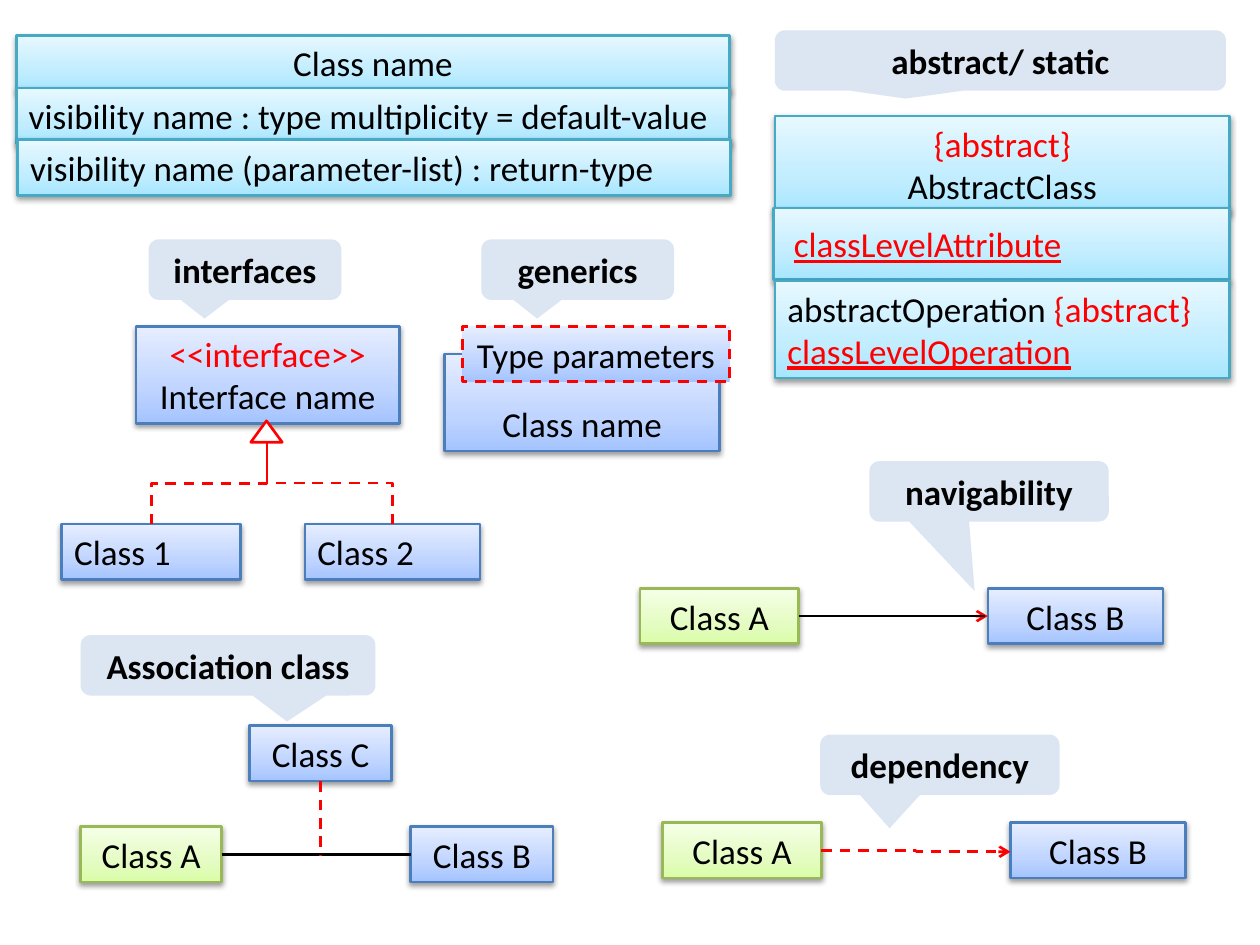
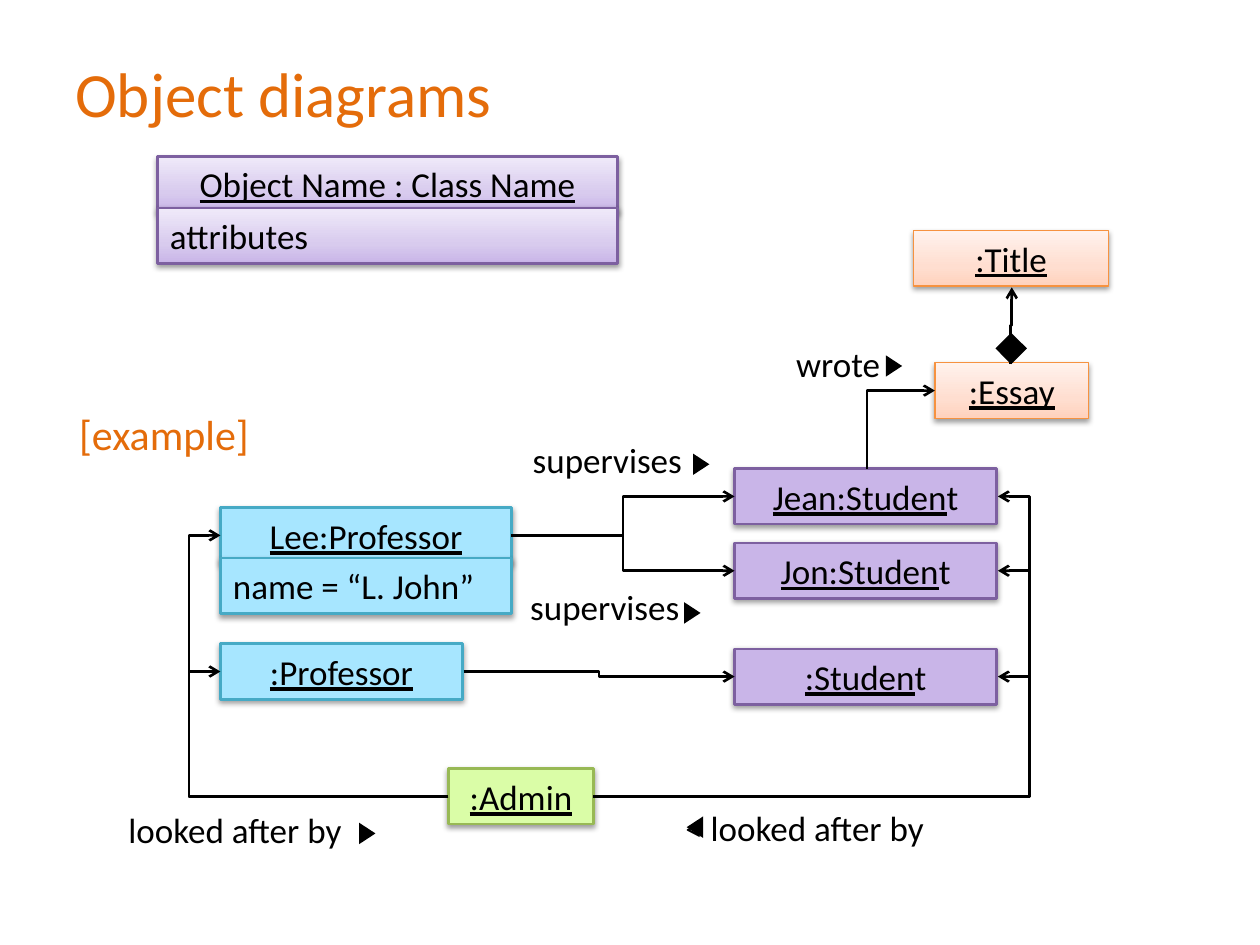
from copy import deepcopy
from dataclasses import dataclass, field

from lxml.etree import SubElement
from pptx import Presentation
from pptx.dml.color import RGBColor
from pptx.enum.dml import MSO_LINE
from pptx.enum.shapes import MSO_CONNECTOR, MSO_SHAPE
from pptx.enum.text import MSO_ANCHOR, PP_ALIGN
from pptx.oxml.ns import qn
from pptx.util import Emu, Inches, Pt

COLS, ROWS = 100, 75
TOP, LEFT, BOTTOM, RIGHT = range(4)


@dataclass(frozen=True)
class Theme:
    font: str = "Calibri"
    body: int = 20
    label: int = 24
    title: int = 36
    stroke: float = 1.5
    ink: str = "000000"
    paper: str = "FFFFFF"
    red: str = "FF0000"
    accent: str = "E46C0A"
    bubble: str = "DCE6F2"
    # Each box style: edge colour, edge width, fill from bottom to top.
    boxes: dict = field(default_factory=lambda: {
        "aqua": ("46AAC5", 1.5, ("A7E6FF", "C1EDFF", "E7F8FF")),
        "blue": ("4B7EBC", 1.5, ("A4C4FF", "BFD4FF", "E6EEFF")),
        "green": ("98B955", 1.5, ("DAFDA7", "E4FCC2", "F5FFE7")),
        "violet": ("7D60A0", 1.5, ("C9B5E8", "D8CBEE", "F0EAF9")),
        "peach": ("F69240", 0.75, ("FFD2BD", "FFDED0", "FFF2ED")),
    })


class Board:
    """Draws on the current slide; lengths are grid columns and rows."""

    def __init__(self, deck, theme):
        self.deck, self.theme = deck, theme
        self.slide = None

    def begin(self):
        self.slide = self.deck.slides.add_slide(self.deck.slide_layouts[6])

    def col(self, n):
        return Emu(round(self.deck.slide_width * n / COLS))

    def row(self, n):
        return Emu(round(self.deck.slide_height * n / ROWS))

    def area(self, x, y, w, h):
        return self.col(x), self.row(y), self.col(w), self.row(h)

    def style(self, run, color=None, size=None, bold=False, under=False):
        font = run.font
        font.name = self.theme.font
        font.size = Pt(size or self.theme.body)
        font.color.rgb = RGBColor.from_string(color or self.theme.ink)
        font.bold = bold
        font.underline = under

    def letter(self, shape, text, align=PP_ALIGN.CENTER,
               anchor=MSO_ANCHOR.MIDDLE, **look):
        frame = shape.text_frame
        frame.text = text
        frame.word_wrap = True
        frame.vertical_anchor = anchor
        for par in frame.paragraphs:
            par.alignment = align
            for run in par.runs:
                self.style(run, **look)

    def extend(self, shape, text, **look):
        """Add a differently styled run to the first paragraph."""
        run = shape.text_frame.paragraphs[0].add_run()
        run.text = text
        self.style(run, **look)

    def form(self, kind, x, y, w, h, fill, edge=None, width=None):
        shape = self.slide.shapes.add_shape(kind, *self.area(x, y, w, h))
        shape.shadow.inherit = False
        shape.fill.solid()
        shape.fill.fore_color.rgb = RGBColor.from_string(fill)
        if edge:
            shape.line.color.rgb = RGBColor.from_string(edge)
            shape.line.width = Pt(width or self.theme.stroke)
        else:
            shape.line.fill.background()
        return shape

    def blend(self, shape, colors):
        """Fill with three stops, the first colour at the bottom."""
        shape.fill.gradient()
        shape.fill.gradient_angle = 90
        stops = shape._element.spPr.find(".//" + qn("a:gsLst"))
        stops.insert(1, deepcopy(stops[0]))
        for stop, place, color in zip(shape.fill.gradient_stops, (0, 0.35, 1), colors):
            stop.position = place
            stop.color.rgb = RGBColor.from_string(color)

    def shade(self, shape):
        effects = shape._element.spPr.find(qn("a:effectLst"))
        outer = SubElement(effects, qn("a:outerShdw"), blurRad="40000",
                           dist="20000", dir="5400000", rotWithShape="0")
        black = SubElement(outer, qn("a:srgbClr"), val=self.theme.ink)
        SubElement(black, qn("a:alpha"), val="38000")

    def box(self, style, text, x, y, w, h=4.4, flat=False, dashed=False, **look):
        edge, width, colors = self.theme.boxes[style]
        shape = self.form(MSO_SHAPE.RECTANGLE, x, y, w, h, colors[0],
                          self.theme.red if dashed else edge, width)
        if not flat:
            self.blend(shape, colors)
        if dashed:
            shape.line.dash_style = MSO_LINE.DASH
        else:
            self.shade(shape)
        self.letter(shape, text, **look)
        return shape

    def bubble(self, text, x, y, w, tip=(-0.21, 0.81)):
        shape = self.form(MSO_SHAPE.ROUNDED_RECTANGULAR_CALLOUT, x, y, w, 4.8,
                          self.theme.bubble)
        shape.adjustments[0], shape.adjustments[1] = tip
        self.letter(shape, text, bold=True)

    def label(self, text, x, y, w, h=4.4, anchor=MSO_ANCHOR.TOP, **look):
        shape = self.slide.shapes.add_textbox(*self.area(x, y, w, h))
        self.letter(shape, text, align=PP_ALIGN.LEFT, anchor=anchor, **look)

    def heading(self, text, x, y, size):
        self.label(text, x, y, 90, 8.7, MSO_ANCHOR.MIDDLE,
                   size=size, color=self.theme.accent)

    def marker(self, x, y, turn=90):
        shape = self.form(MSO_SHAPE.ISOSCELES_TRIANGLE, x, y, 1.7, 1.3, self.theme.ink)
        shape.rotation = turn

    def wire(self, kind, start, end, color=None, dashed=False, arrow=False):
        ends = [f(n) for p in (start, end) for f, n in zip((self.col, self.row), p)]
        link = self.slide.shapes.add_connector(kind, *ends)
        link.line.color.rgb = RGBColor.from_string(color or self.theme.ink)
        link.line.width = Pt(self.theme.stroke)
        if dashed:
            link.line.dash_style = MSO_LINE.DASH
        props = link._element.spPr
        if arrow:
            SubElement(props.find(qn("a:ln")), qn("a:tailEnd"), type="arrow")
        SubElement(props, qn("a:effectLst"))
        return link

    def join(self, first, side, last=None, far=LEFT, end=(0, 0), **look):
        """Straight line from a box side to another box side or a point."""
        link = self.wire(MSO_CONNECTOR.STRAIGHT, (0, 0), end, **look)
        link.begin_connect(first, side)
        if last:
            link.end_connect(last, far)

    def elbow(self, start, end, bend=None, **look):
        """Leave sideways and turn at column bend, or halfway."""
        link = self.wire(MSO_CONNECTOR.ELBOW, start, end, **look)
        if bend is not None:
            share = (bend - start[0]) / (end[0] - start[0])
            guides = link._element.spPr.find(".//" + qn("a:avLst"))
            SubElement(guides, qn("a:gd"), name="adj1", fmla=f"val {round(share * 100000)}")

    def climb(self, start, end, corner=False, **look):
        """Leave upwards: a sideways elbow given a three-quarter turn."""
        (x1, y1), (x2, y2) = start, end
        midx, midy = (x1 + x2) / 2, (y1 + y2) / 2
        rise, run = (y1 - y2) / 2, (x2 - x1) / 2
        link = self.wire(MSO_CONNECTOR.ELBOW, (midx - rise, midy - run),
                         (midx + rise, midy + run), **look)
        props = link._element.spPr
        props.find(qn("a:xfrm")).set("rot", "16200000")
        if corner:
            props.find(qn("a:prstGeom")).set("prst", "bentConnector2")


def classes(board):
    board.begin()
    red = board.theme.red
    left = PP_ALIGN.LEFT

    board.box("aqua", "Class name", 1.3, 2.8, 56.6)
    board.box("aqua", "visibility name : type multiplicity = default-value",
              1.3, 7, 56.6, align=left)
    board.box("aqua", "visibility name (parameter-list) : return-type",
              1.4, 11.1, 56.6, align=left)

    board.bubble("abstract/ static", 61.5, 2.4, 35.8, (-0.21, 0.63))
    head = board.box("aqua", "{abstract}\vAbstractClass", 61.5, 9.2, 36.1, 7.7)
    board.style(head.text_frame.paragraphs[0].runs[0], color=red)
    level = board.box("aqua", "classLevelAttribute", 61.4, 16.5, 36.2, 5.7,
                      align=left, color=red, under=True)
    level.text_frame.margin_left = Inches(0.16)
    acts = board.box("aqua", "abstractOperation \nclassLevelOperation",
                     61.5, 22.3, 36.1, 7.7, align=left)
    board.extend(acts, "{abstract}", color=red)
    board.style(acts.text_frame.paragraphs[1].runs[0], color=red, under=True)

    board.bubble("interfaces", 11.8, 19, 15.3)
    face = board.box("blue", "<<interface>>\vInterface name", 10.8, 25.9, 20.9, 7.7)
    board.style(face.text_frame.paragraphs[0].runs[0], color=red)
    board.form(MSO_SHAPE.ISOSCELES_TRIANGLE, 19.9, 33.4, 2.5, 1.7, board.theme.paper, red)
    for name, x, w in (("Class 1", 4.9, 14.2), ("Class 2", 24.2, 13.9)):
        board.box("blue", name, x, 41.6, w, align=left)
        board.climb((x + w / 2, 41.6), (21.2, 35.1), color=red, dashed=True)

    board.bubble("generics", 38.2, 19, 15.3)
    board.box("blue", "Class name", 35.3, 28.1, 21.8, 7.7, anchor=MSO_ANCHOR.BOTTOM)
    board.box("blue", "Type parameters", 36.7, 25.9, 21.2, dashed=True)

    board.bubble("navigability", 69, 36.6, 19, (-0.06, 1.65))
    one = board.box("green", "Class A", 50.8, 46.7, 12.6)
    two = board.box("blue", "Class B", 78.4, 46.7, 13.9)
    board.join(one, RIGHT, two, color=red, arrow=True)
    board.join(one, RIGHT, end=(78.2, 48.9))

    board.bubble("dependency", 65.1, 58.3, 19, (-0.21, 1.05))
    board.box("green", "Class A", 52.6, 65.3, 12.6)
    board.box("blue", "Class B", 80.2, 65.3, 13.9)
    board.elbow((65.2, 67.5), (80.2, 67.6), color=red, dashed=True, arrow=True)

    board.bubble("Association class", 6.4, 50.4, 23.4, (0.2, 0.93))
    one = board.box("green", "Class A", 6.4, 65.6, 11.2)
    two = board.box("blue", "Class B", 32.6, 65.6, 11.3)
    board.join(one, RIGHT, two)
    link = board.box("blue", "Class C", 19.8, 57.6, 11.3)
    board.join(link, BOTTOM, end=(25.45, 67.9), color=red, dashed=True)


def objects(board):
    board.begin()
    left = PP_ALIGN.LEFT
    board.heading("Object diagrams", 5, 3, board.theme.title)
    board.heading("[example]", 5.3, 30.1, board.theme.label)

    board.box("violet", "Object Name : Class Name", 12.5, 12.4, 36.5, under=True)
    board.box("violet", "attributes", 12.5, 16.5, 36.5, align=left)

    board.box("aqua", "Lee:Professor", 17.5, 40.3, 23.1, flat=True, under=True)
    board.box("aqua", "name = “L. John”", 17.5, 44.3, 23.1, flat=True, align=left)
    board.box("aqua", ":Professor", 17.5, 51.1, 19.2, flat=True, under=True)
    board.box("green", ":Admin", 35.6, 61, 11.5, flat=True, under=True)

    for name, y, source in (("Jean:Studen", 37.2, (40.6, 42.5)),
                            ("Jon:Studen", 43.1, (40.6, 42.5)),
                            (":Studen", 51.5, (36.8, 53.3))):
        pupil = board.box("violet", name, 58.3, y, 20.8, flat=True, under=True)
        board.extend(pupil, "t")
        board.elbow(source, (58.3, y + 2.2), arrow=True)
        board.elbow((47.1, 63.2), (79.2, y + 2.2), bend=81.7, arrow=True)
    for y in (42.5, 53.3):
        board.elbow((35.6, 63.2), (17.5, y), bend=15, arrow=True)

    board.box("peach", ":Essay", 74.2, 28.8, 12.2, under=True)
    board.box("peach", ":Title", 72.5, 18.3, 15.5, under=True)
    board.climb((80.2, 28.9), (80.3, 22.8), arrow=True)
    board.climb((68.8, 37.2), (74.2, 31), corner=True, arrow=True)
    board.form(MSO_SHAPE.FLOWCHART_DECISION, 79, 26.4, 2.5, 2.5, board.theme.ink)

    for text, x, y, w in (("supervises", 41.1, 46, 16.4),
                          ("supervises", 41.3, 34.3, 16.4),
                          ("< looked after by", 53.4, 63.5, 22.5),
                          ("looked after by", 9.2, 63.7, 23.8),
                          ("wrote", 62.2, 26.7, 16.4)):
        board.label(text, x, y, w)
    for x, y in ((54.8, 36.2), (54.1, 48), (28.3, 65.5), (70.1, 28.4)):
        board.marker(x, y)
    board.marker(54.3, 65, turn=270)


def main():
    deck = Presentation()
    deck.slide_width, deck.slide_height = Inches(10), Inches(7.5)
    board = Board(deck, Theme())
    classes(board)
    objects(board)
    deck.save("out.pptx")


if __name__ == "__main__":
    main()
